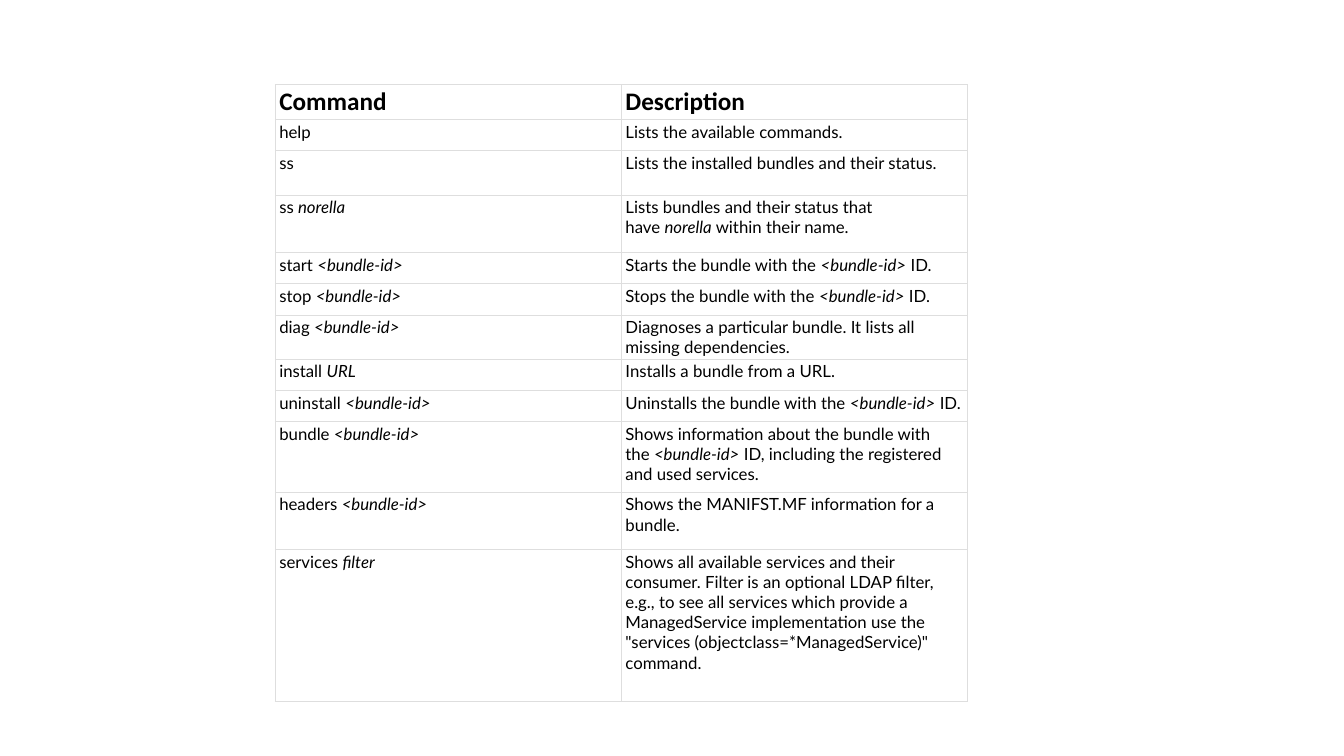
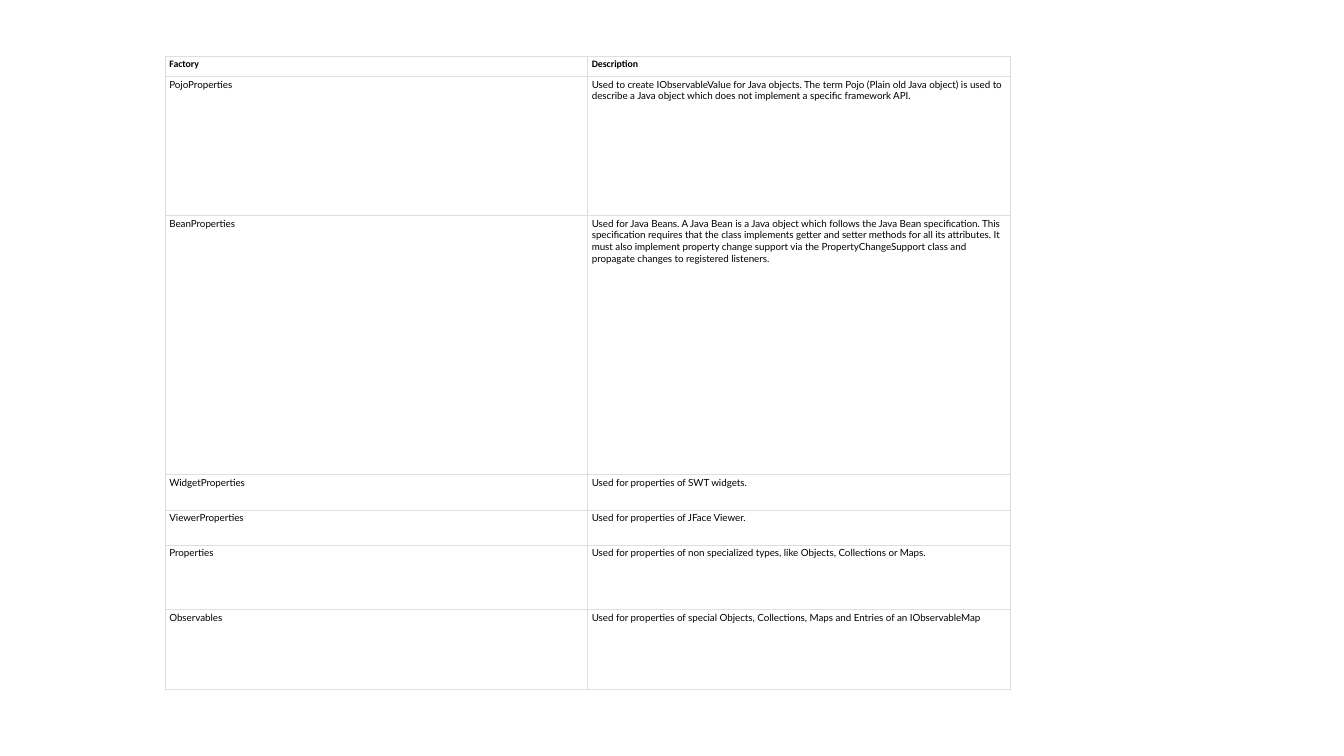
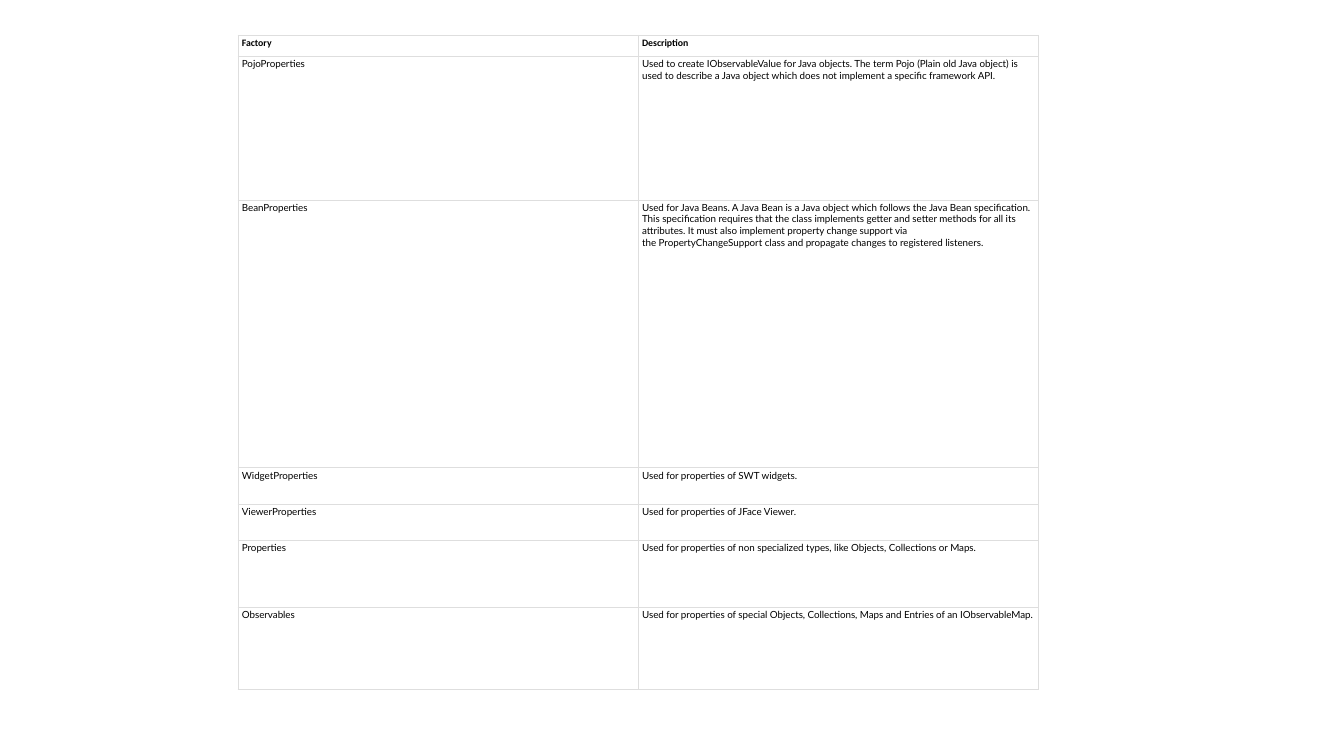
import lxml.etree
import pptx
import pptx.dml.color
import pptx.oxml.ns
import pptx.util

HARD_SPACE = chr(160)


def color(value):
    return pptx.dml.color.RGBColor.from_string(value)


def write(frame, text, *, font, size, ink, bold=False):
    paragraph = frame.paragraphs[0]
    for index, piece in enumerate(text.replace("~", HARD_SPACE).split("|")):
        if piece:
            span = paragraph.add_run()
            span.text = piece
            span.font.name = font
            span.font.size = pptx.util.Pt(size)
            span.font.color.rgb = color(ink)
            span.font.bold = bold
            span.font.italic = index % 2 == 1


class Deck:
    """Hold the shared style and the current page; a bar marks italics and a tilde a hard space."""

    ink, paper, rule = "000000", "FFFFFF", "DEDEDE"
    heading_font, body_font = "Calibri", "Lato"
    rule_width = pptx.util.Pt(0.6)
    side_margin, edge_margin = pptx.util.Inches(0.04), pptx.util.Inches(0.02)

    def __init__(self):
        self.show = pptx.Presentation()
        self.show.slide_width = pptx.util.Inches(13.33)
        self.show.slide_height = pptx.util.Inches(7.5)
        self.page = None

    def add_page(self):
        self.page = self.show.slides.add_slide(self.show.slide_layouts[6])
        self.page.background.fill.solid()
        self.page.background.fill.fore_color.rgb = color(self.paper)

    def across(self, percent):
        return round(self.show.slide_width * percent / 100)

    def down(self, percent):
        return round(self.show.slide_height * percent / 100)

    def border(self, cell):
        properties = cell._tc.get_or_add_tcPr()
        name = pptx.oxml.ns.qn
        for side in "LRTB":
            line = lxml.etree.SubElement(properties, name("a:ln" + side), w=str(self.rule_width))
            fill = lxml.etree.SubElement(line, name("a:solidFill"))
            lxml.etree.SubElement(fill, name("a:srgbClr"), val=self.rule)

    def cell(self, cell, text, **style):
        self.border(cell)
        cell.fill.solid()
        cell.fill.fore_color.rgb = color(self.paper)
        cell.margin_left = cell.margin_right = self.side_margin
        cell.margin_top = cell.margin_bottom = self.edge_margin
        write(cell.text_frame, text, ink=self.ink, **style)

    def table(self, left, top, width, height, rows, weights, heading_size, body_size):
        table = self.page.shapes.add_table(
            len(rows), len(rows[0]), self.across(left), self.down(top),
            self.across(width), self.down(height)).table
        table.first_row = table.horz_banding = False
        heading = dict(font=self.heading_font, size=heading_size, bold=True)
        body = dict(font=self.body_font, size=body_size)
        for row_index, (texts, weight) in enumerate(zip(rows, weights)):
            table.rows[row_index].height = round(self.down(height) * weight / sum(weights))
            for column_index, text in enumerate(texts):
                style = body if row_index else heading
                self.cell(table.cell(row_index, column_index), text, **style)


COMMANDS = [
    ("Command", "Description"),
    ("help", "Lists the available commands."),
    ("ss", "Lists the installed bundles and their status."),
    ("ss~|norella|", "Lists bundles and their status that have~|norella|~within their name."),
    ("start~|<bundle-id>|", "Starts the bundle with the~|<bundle-id>|~ID."),
    ("stop~|<bundle-id>|", "Stops the bundle with the~|<bundle-id>|~ID."),
    ("diag~|<bundle-id>|", "Diagnoses a particular bundle. It lists all missing dependencies."),
    ("install~|URL|", "Installs a bundle from a URL."),
    ("uninstall~|<bundle-id>|", "Uninstalls the bundle with the~|<bundle-id>|~ID."),
    ("bundle~|<bundle-id>|", "Shows information about the bundle with the~|<bundle-id>|~ID, "
     "including the registered and used services."),
    ("headers~|<bundle-id>|", "Shows the MANIFST.MF information for a bundle."),
    ("services~|filter|", "Shows all available services and their consumer. Filter is an optional "
     "LDAP filter, e.g., to see all services which provide a ManagedService implementation use the "
     "\"services (objectclass=*ManagedService)\" command."),
]
COMMAND_WEIGHTS = [0.34, 0.31, 0.44, 0.57, 0.31, 0.31, 0.44, 0.31, 0.31, 0.7, 0.57, 1.5]

FACTORIES = [
    ("Factory", "Description"),
    ("PojoProperties", "Used to create~IObservableValue~for Java objects. The term Pojo (Plain old "
     "Java object) is used to describe a Java object which does not implement a specific framework "
     "API."),
    ("BeanProperties", "Used for Java Beans. A Java Bean is a Java object which follows the Java "
     "Bean specification. This specification requires that the class implements~getter~and~setter~"
     "methods for all its attributes. It must also implement property change support via "
     "the~PropertyChangeSupport~class and propagate changes to registered listeners."),
    ("WidgetProperties", "Used for properties of SWT widgets."),
    ("ViewerProperties", "Used for properties of JFace Viewer."),
    ("Properties", "Used for properties of non specialized types, like Objects, Collections or "
     "Maps."),
]
OBSERVABLES = ("Used for properties of special Objects, Collections, Maps and Entries of an "
               "IObservableMap")
FACTORY_WEIGHTS = [0.2, 1.38, 2.57, 0.35, 0.35, 0.64, 0.79]


def main():
    deck = Deck()
    deck.add_page()
    deck.table(20.48, 11.2, 51.52, 81.47, COMMANDS, COMMAND_WEIGHTS, 18, 12)
    for place, ending in (((12.3, 7.47, 62.87, 83.73), ""), ((17.7, 4.67, 59.56, 86.53), ".")):
        deck.add_page()
        rows = FACTORIES + [("Observables", OBSERVABLES + ending)]
        deck.table(*place, rows, FACTORY_WEIGHTS, 7, 7)
    deck.show.save("out.pptx")


if __name__ == "__main__":
    main()
